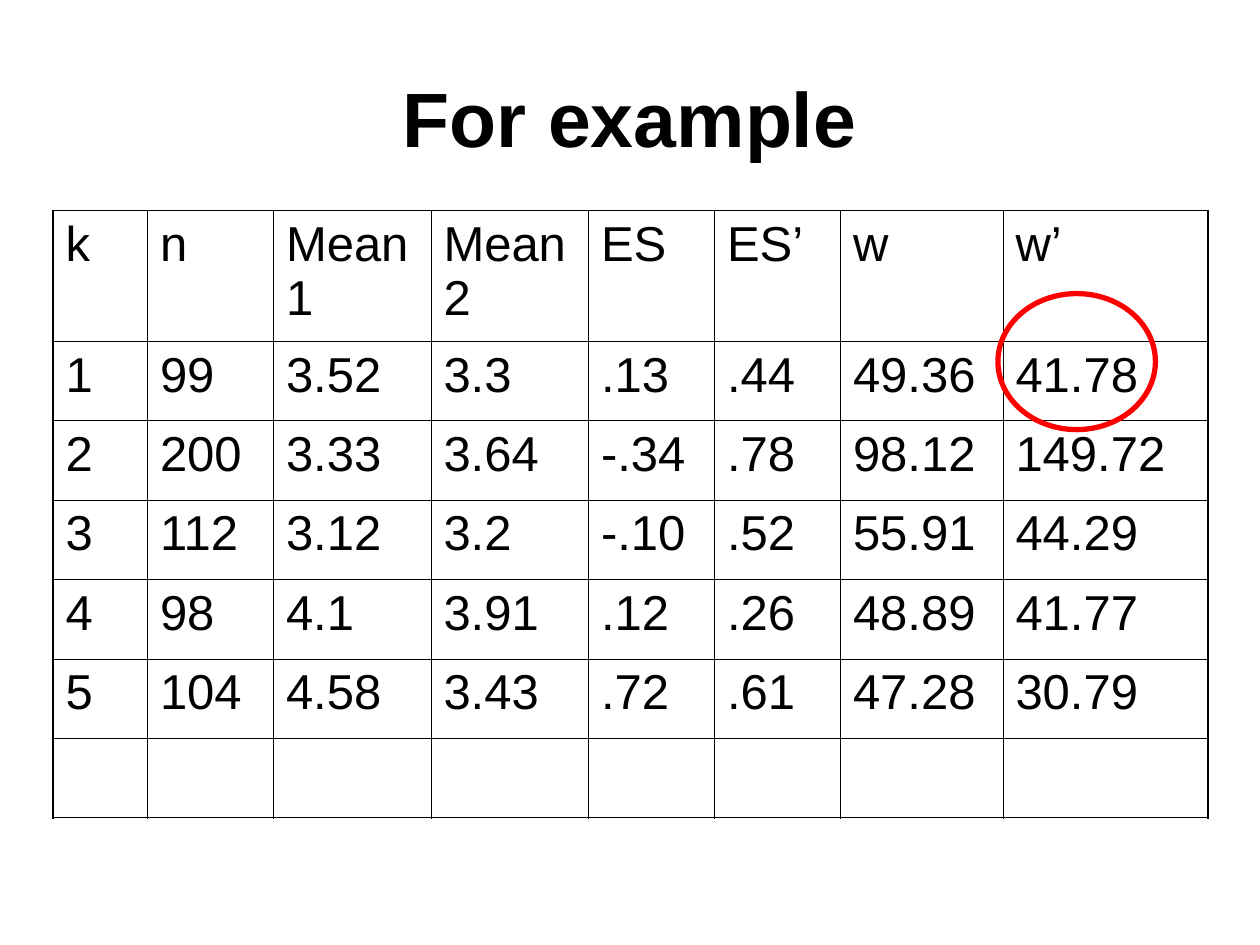
from lxml import etree
from pptx import Presentation
from pptx.dml.color import RGBColor
from pptx.enum import shapes, text
from pptx.oxml import ns
from pptx.util import Inches, Pt

BLACK = RGBColor(0x00, 0x00, 0x00)
RED = RGBColor(0xFF, 0x00, 0x00)
FONT = "Arial"
INNER_BORDER = Pt(0.45)
OUTER_BORDER = Pt(1.08)

COLUMN_WIDTHS = [0.75, 1, 1.25, 1.25, 1, 1, 1.29, 1.63]
ROW_HEIGHTS = [1.04] + [0.63] * 6
STUDIES = [
    ["k", "n", "Mean 1", "Mean 2", "ES", "ES’", "w", "w’"],
    ["1", "99", "3.52", "3.3", ".13", ".44", "49.36", "41.78"],
    ["2", "200", "3.33", "3.64", "-.34", ".78", "98.12", "149.72"],
    ["3", "112", "3.12", "3.2", "-.10", ".52", "55.91", "44.29"],
    ["4", "98", "4.1", "3.91", ".12", ".26", "48.89", "41.77"],
    ["5", "104", "4.58", "3.43", ".72", ".61", "47.28", "30.79"],
    [""] * 8,
]


def style_font(font, size, bold=False):
    font.name = FONT
    font.size = Pt(size)
    font.bold = bold
    font.color.rgb = BLACK


def place_title(slide, left, top, width, height):
    title = slide.shapes.title
    title.left, title.top, title.width, title.height = left, top, width, height
    title.text_frame.text = "For example"
    title.text_frame.vertical_anchor = text.MSO_ANCHOR.MIDDLE
    heading = title.text_frame.paragraphs[0]
    heading.alignment = text.PP_ALIGN.CENTER
    style_font(heading.font, 44, bold=True)


def set_borders(cell, outer_sides):
    properties = cell._tc.get_or_add_tcPr()
    for side, is_outer in outer_sides.items():
        width = OUTER_BORDER if is_outer else INNER_BORDER
        line = etree.SubElement(properties, ns.qn(f"a:ln{side}"), w=str(width))
        fill = etree.SubElement(line, ns.qn("a:solidFill"))
        etree.SubElement(fill, ns.qn("a:srgbClr"), val=str(BLACK))


def place_studies_table(slide, left, top, width, height):
    row_count, column_count = len(STUDIES), len(COLUMN_WIDTHS)
    table = slide.shapes.add_table(
        row_count, column_count, left, top, width, height
    ).table
    table.first_row = table.horz_banding = False
    for column, column_width in zip(table.columns, COLUMN_WIDTHS):
        column.width = Inches(column_width)
    for row, row_height in zip(table.rows, ROW_HEIGHTS):
        row.height = Inches(row_height)
    for r, study in enumerate(STUDIES):
        for c, value in enumerate(study):
            cell = table.cell(r, c)
            cell.text = value
            style_font(cell.text_frame.paragraphs[0].font, 28)
            set_borders(cell, {
                "L": c == 0,
                "R": c == column_count - 1,
                "T": r == 0,
                "B": r == row_count - 1,
            })
            cell.fill.background()


def place_highlight(slide, left, top, width, height):
    ring = slide.shapes.add_shape(
        shapes.MSO_SHAPE.OVAL, left, top, width, height
    )
    ring.shadow.inherit = False
    ring.fill.background()
    ring.line.color.rgb = RED
    ring.line.width = Pt(3)


def main():
    presentation = Presentation()
    presentation.slide_width = Inches(10)
    presentation.slide_height = Inches(7.5)
    slide = presentation.slides.add_slide(presentation.slide_layouts[5])
    place_title(slide, Inches(0.5), Inches(0.3), Inches(9), Inches(1.25))
    place_studies_table(
        slide, Inches(0.42), Inches(1.67), Inches(9.17), Inches(4.8)
    )
    place_highlight(
        slide, Inches(7.92), Inches(2.33), Inches(1.25), Inches(1.08)
    )
    presentation.save("out.pptx")


if __name__ == "__main__":
    main()
